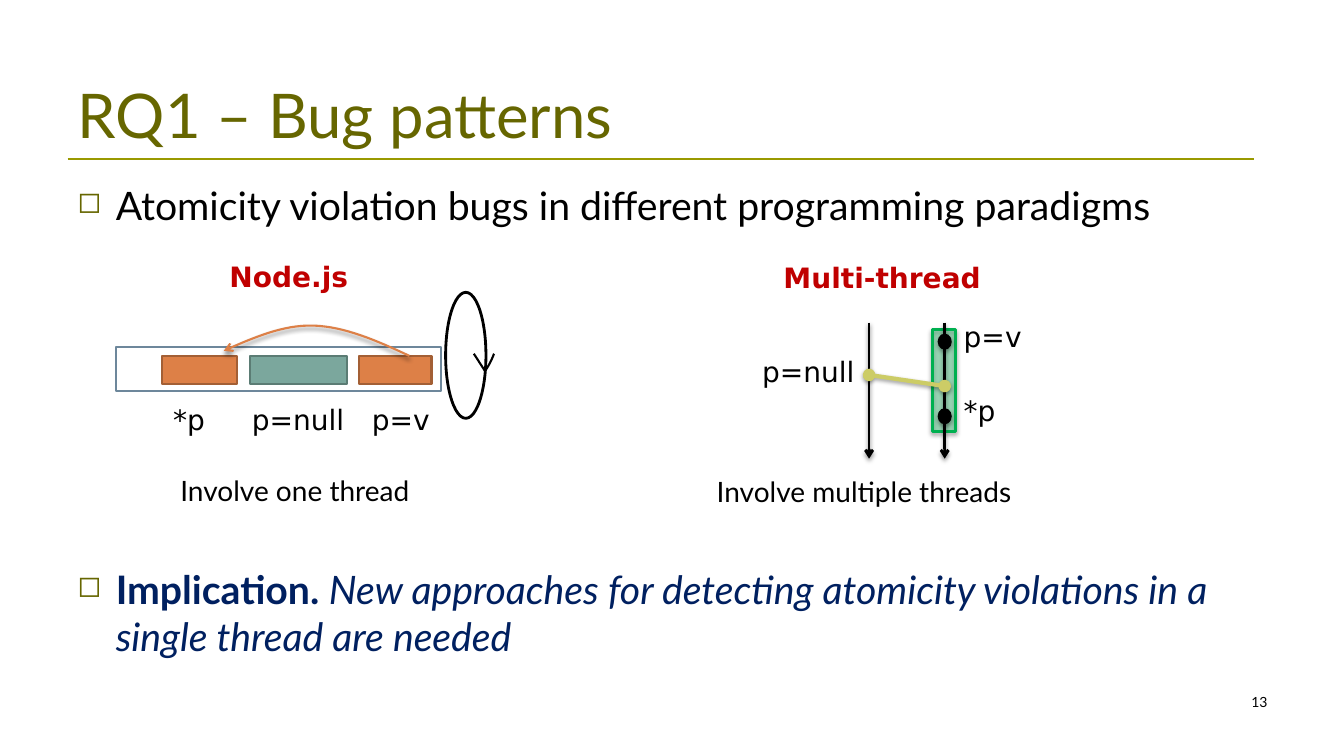
from dataclasses import dataclass

from lxml.etree import SubElement
from pptx import Presentation
from pptx.dml.color import RGBColor
from pptx.enum.shapes import MSO_CONNECTOR, MSO_SHAPE
from pptx.enum.text import MSO_ANCHOR, PP_ALIGN
from pptx.oxml.ns import qn
from pptx.util import Inches, Pt


@dataclass(frozen=True)
class Theme:
    body_font: str = "Lato"
    code_font: str = "DejaVu Sans"
    olive: str = "666600"
    rule: str = "999900"
    black: str = "000000"
    navy: str = "002060"
    red: str = "C00000"
    green: str = "00B050"
    access: str = "CCCC66"
    queue: str = "6D879B"
    orange: str = "DD8047"
    orange_edge: str = "A35F35"
    teal: str = "7BA79D"
    teal_edge: str = "5B7C74"
    title_size: int = 44
    bullet_size: int = 28
    label_size: int = 20
    number_size: int = 10


THEME = Theme()

# Content
TITLE = "RQ1 – Bug patterns"
PAGE_NUMBER = "13"
# top, height, runs of (text, colour, bold, italic)
BULLETS = [
    (1.75, 0.65, [("Atomicity violation bugs in different programming paradigms",
                   THEME.black, False, False)]),
    (5.56, 1.14, [("Implication. ", THEME.navy, True, False),
                  ("New approaches for detecting atomicity violations in a "
                   "single thread are needed", THEME.navy, False, True)]),
]
# text, left, top, width
HEADINGS = [("Node.js", 2.17, 2.53, 1.39), ("Multi-thread", 7.67, 2.54, 2.16)]
CAPTIONS = [("Involve one thread", 1.69, 4.65, 2.54),
            ("Involve multiple threads", 7.01, 4.66, 3.12)]
CODE_LABELS = [
    ("*p", 1.62, 3.94, 0.56), ("p=null", 2.4, 3.94, 1.12), ("p=v", 3.59, 3.94, 0.78),
    ("p=null", 7.46, 3.47, 1.12), ("p=v", 9.46, 3.12, 0.78), ("*p", 9.46, 3.85, 0.56),
]
# left, width, fill, edge
EVENTS = [(1.61, 0.74, THEME.orange, THEME.orange_edge),
          (2.48, 0.96, THEME.teal, THEME.teal_edge),
          (3.56, 0.72, THEME.orange, THEME.orange_edge)]
# Two Bezier pieces: start, control, control, end
ORDER_ARC = [((4.06, 3.53), (3.74, 3.38), (3.42, 3.24), (3.11, 3.23)),
             ((3.11, 3.23), (2.81, 3.22), (2.51, 3.35), (2.22, 3.48))]
LOOP_HEAD = [((4.7, 3.51), (4.74, 3.57), (4.77, 3.62), (4.81, 3.68)),
             ((4.81, 3.68), (4.86, 3.62), (4.9, 3.51), (4.9, 3.51))]
THREADS = (8.62, 9.37)
THREAD_TOP, THREAD_END = 3.2, 4.55
ACCESS_TOPS = (3.31, 4.05)
DOT_WIDTH, DOT_HEIGHT = 0.14, 0.16
LABEL_HEIGHT = 0.44

deck = Presentation()
deck.slide_width, deck.slide_height = Inches(13.33), Inches(7.5)
slide = deck.slides.add_slide(deck.slide_layouts[5])


def box(*lengths):
    return [Inches(length) for length in lengths]


def add_run(paragraph, text, size, color, font=THEME.body_font, bold=False, italic=False):
    run = paragraph.add_run()
    run.text = text
    run.font.name, run.font.size = font, Pt(size)
    run.font.bold, run.font.italic = bold, italic
    run.font.color.rgb = RGBColor.from_string(color)


def add_text(text, place, size, color, align=PP_ALIGN.LEFT, wrap=False, **style):
    frame = slide.shapes.add_textbox(*box(*place)).text_frame
    frame.word_wrap = wrap
    frame.paragraphs[0].alignment = align
    add_run(frame.paragraphs[0], text, size, color, **style)


def set_line(shape, color, width, head=None, tail=None):
    shape.line.color.rgb = RGBColor.from_string(color)
    shape.line.width = Pt(width)
    outline = shape._element.spPr.find(qn("a:ln"))
    for tag, kind in (("a:headEnd", head), ("a:tailEnd", tail)):
        if kind:
            SubElement(outline, qn(tag), type=kind)


def set_shadow(shape, opacity=0, blur=3.1, distance=1.6):
    """Leave an empty effect list, or one downward shadow."""
    effects = SubElement(shape._element.spPr, qn("a:effectLst"))
    if opacity:
        shadow = SubElement(effects, qn("a:outerShdw"), blurRad=str(Pt(blur)),
                            dist=str(Pt(distance)), dir="5400000", rotWithShape="0")
        tint = SubElement(shadow, qn("a:srgbClr"), val=THEME.black)
        SubElement(tint, qn("a:alpha"), val=str(opacity * 1000))


def add_line(start, end, color, width, opacity=0, **ends):
    line = slide.shapes.add_connector(MSO_CONNECTOR.STRAIGHT, *box(*start, *end))
    set_line(line, color, width, **ends)
    set_shadow(line, opacity)


def add_figure(kind, place, fill=None, edge=None, width=1.5, alpha=None, opacity=0):
    figure = slide.shapes.add_shape(kind, *box(*place))
    if fill:
        figure.fill.solid()
        figure.fill.fore_color.rgb = RGBColor.from_string(fill)
        if alpha:
            tint = figure._element.spPr.find(qn("a:solidFill"))[0]
            SubElement(tint, qn("a:alpha"), val=str(alpha * 1000))
    else:
        figure.fill.background()
    if edge:
        set_line(figure, edge, width)
    else:
        figure.line.fill.background()
    set_shadow(figure, opacity, distance=1.8)


def add_curve(pieces, color, width, opacity=0, tail=None, steps=16):
    points = []
    for a, b, c, d in pieces:
        for step in range(1, steps + 1):
            t = step / steps
            weights = ((1 - t) ** 3, 3 * t * (1 - t) ** 2, 3 * t * t * (1 - t), t ** 3)
            points.append(box(*(sum(w * p[axis] for w, p in zip(weights, (a, b, c, d)))
                                for axis in (0, 1))))
    builder = slide.shapes.build_freeform(*box(*pieces[0][0]), scale=1.0)
    builder.add_line_segments(points, close=False)
    curve = builder.convert_to_shape()
    curve.fill.background()
    set_line(curve, color, width, tail=tail)
    set_shadow(curve, opacity, 3, 2.4)


# Title, rule and page number
title = slide.shapes.title
title.left, title.top, title.width, title.height = box(0.67, 0.3, 12, 1.25)
title.text_frame.vertical_anchor = MSO_ANCHOR.BOTTOM
heading = title.text_frame.paragraphs[0]
heading.alignment = PP_ALIGN.LEFT
add_run(heading, TITLE, THEME.title_size, THEME.olive)
add_line((0.67, 1.58), (12.44, 1.58), THEME.rule, 1.5)
add_text(PAGE_NUMBER, (9.56, 6.83, 3.11, 0.5), THEME.number_size, THEME.black,
         PP_ALIGN.RIGHT, wrap=True)

# Bullets
for top, height, runs in BULLETS:
    frame = slide.shapes.add_textbox(*box(0.67, top, 12, height)).text_frame
    frame.word_wrap = True
    bullet = frame.paragraphs[0]
    bullet.space_before = Pt(THEME.bullet_size * 0.2)
    for text, color, bold, italic in runs:
        add_run(bullet, text, THEME.bullet_size, color, bold=bold, italic=italic)
    marks = bullet._p.get_or_add_pPr()
    marks.set("marL", str(Inches(0.38)))
    marks.set("indent", str(Inches(-0.38)))
    SubElement(SubElement(marks, qn("a:buClr")), qn("a:srgbClr"), val=THEME.olive)
    SubElement(marks, qn("a:buSzPct"), val="75000")
    SubElement(marks, qn("a:buChar"), char="◻")

# Node.js: event queue, order arc and event loop
add_figure(MSO_SHAPE.RECTANGLE, (1.15, 3.44, 3.22, 0.44), edge=THEME.queue)
for left, width, fill, edge in EVENTS:
    add_figure(MSO_SHAPE.RECTANGLE, (left, 3.53, width, 0.28), fill, edge)
add_curve(ORDER_ARC, THEME.orange, 1.5, opacity=45, tail="arrow")
add_curve(LOOP_HEAD, THEME.black, 1.5)
add_figure(MSO_SHAPE.OVAL, (4.42, 2.9, 0.4, 1.25), edge=THEME.black, width=2)

# Multi-thread: atomic region behind the second thread, then the accesses
add_figure(MSO_SHAPE.RECTANGLE, (9.25, 3.27, 0.23, 1.01), THEME.green, THEME.green,
           width=2.25, alpha=33, opacity=35)
for x in THREADS:
    add_line((x, THREAD_TOP), (x, THREAD_END), THEME.black, 2, opacity=38, tail="arrow")
add_line((THREADS[0], 3.72), (THREADS[1], 3.83), THEME.access, 3, opacity=38,
         head="oval", tail="oval")
for top in ACCESS_TOPS:
    add_figure(MSO_SHAPE.OVAL, (THREADS[1] - DOT_WIDTH / 2, top, DOT_WIDTH, DOT_HEIGHT),
               THEME.black, opacity=35)

# Headings, code labels and captions
for labels, color, align, style in (
    (HEADINGS, THEME.red, PP_ALIGN.CENTER, {"font": THEME.code_font, "bold": True}),
    (CODE_LABELS, THEME.black, PP_ALIGN.LEFT, {"font": THEME.code_font}),
    (CAPTIONS, THEME.black, PP_ALIGN.LEFT, {}),
):
    for text, left, top, width in labels:
        add_text(text, (left, top, width, LABEL_HEIGHT), THEME.label_size, color, align, **style)

deck.save("out.pptx")
